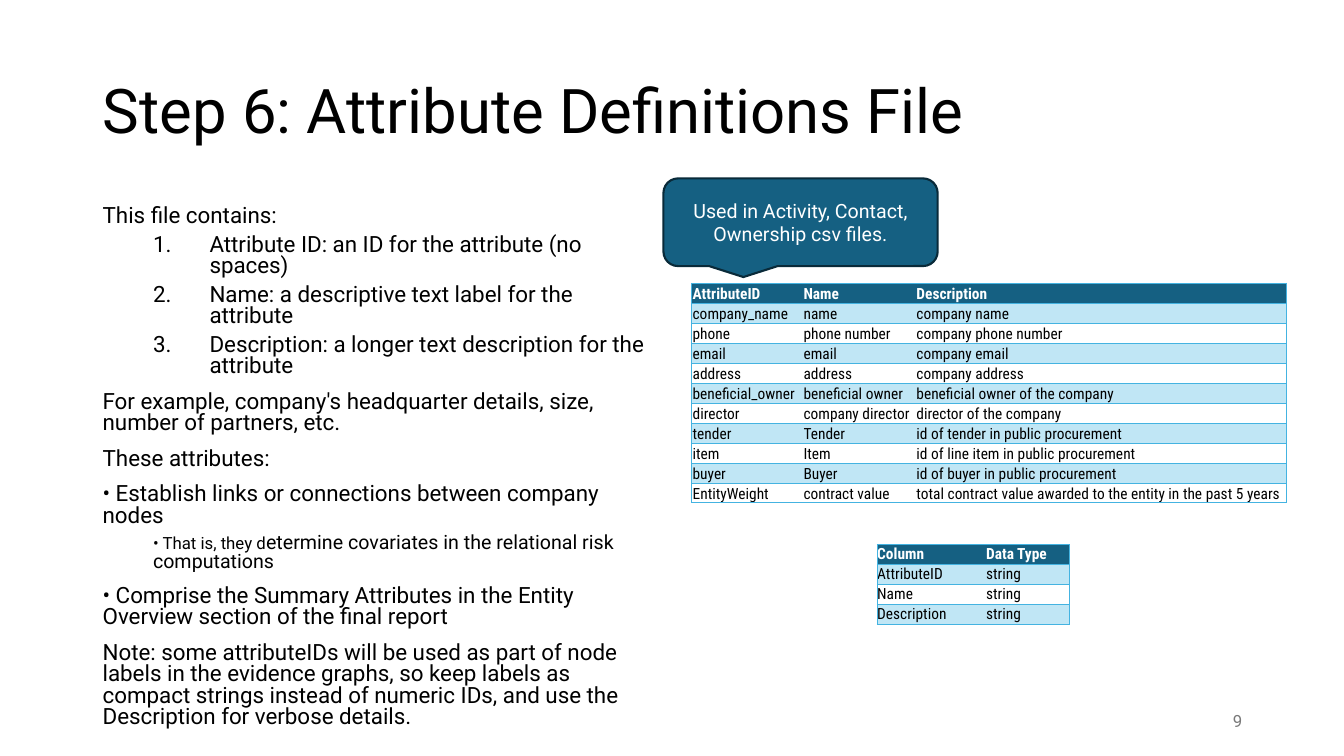
import pptx
import pptx.util
import pptx.dml.color
import pptx.enum.shapes
import pptx.enum.text
import pptx.oxml
import pptx.oxml.ns
from dataclasses import dataclass
from pptx.util import Inches

ALIGN = pptx.enum.text.PP_ALIGN
ANCHOR = pptx.enum.text.MSO_ANCHOR


@dataclass(frozen=True)
class Theme:
    face: str = "Roboto"
    table_face: str = "Roboto Condensed"
    ink: str = "000000"
    paper: str = "FFFFFF"
    accent: str = "156082"
    outline: str = "092A39"
    band: str = "C0E6F5"
    rule: str = "44B3E1"
    muted: str = "797979"
    title_size: int = 44
    body_size: int = 16
    detail_size: int = 14
    small_size: int = 12
    table_size: int = 11


def rgb(value):
    return pptx.dml.color.RGBColor.from_string(value)


def xml(tag, attributes="", content=""):
    return pptx.oxml.parse_xml(
        f'<a:{tag} {pptx.oxml.ns.nsdecls("a")} {attributes}>{content}</a:{tag}>')


class SlideBuilder:
    def __init__(self, deck, theme):
        self.theme = theme
        self.slide = deck.slides.add_slide(deck.slide_layouts[5])

    def font(self, target, size, color, face=None, bold=False):
        target.font.name = face or self.theme.face
        target.font.size = pptx.util.Pt(size)
        target.font.color.rgb = rgb(color)
        target.font.bold = bold

    def title(self, wording, box):
        heading = self.slide.shapes.title
        heading.left, heading.top, heading.width, heading.height = map(Inches, box)
        frame = heading.text_frame
        frame.text = wording
        frame.vertical_anchor = ANCHOR.MIDDLE
        line = frame.paragraphs[0]
        line.alignment = ALIGN.LEFT
        line.line_spacing = 0.9
        self.font(line, self.theme.title_size, self.theme.ink)

    def text_frame(self, box, anchor=ANCHOR.TOP):
        frame = self.slide.shapes.add_textbox(*map(Inches, box)).text_frame
        frame.word_wrap = True
        frame.vertical_anchor = anchor
        return frame

    def body(self, content, box):
        """Write (kind, runs) pairs, where each run is a (wording, size) pair."""
        frame = self.text_frame(box)
        for index, (kind, runs) in enumerate(content):
            line = frame.add_paragraph() if index else frame.paragraphs[0]
            line.line_spacing = 0.8
            line.space_before = pptx.util.Pt(10 if kind == "plain" else 5)
            if kind != "plain":
                line.level = 1
                left, indent = (1.06, -0.56) if kind == "numbered" else (0.5, 0)
                properties = line._p.get_or_add_pPr()
                properties.set("marL", str(Inches(left)))
                properties.set("indent", str(Inches(indent)))
                if kind == "numbered":
                    properties.append(xml("buAutoNum", 'type="arabicPeriod"'))
            self.font(line, runs[0][1], self.theme.ink)
            for wording, size in runs:
                run = line.add_run()
                run.text = wording
                if len(runs) > 1:
                    run.font.size = pptx.util.Pt(size)

    def callout(self, wording, box):
        bubble = self.slide.shapes.add_shape(
            pptx.enum.shapes.MSO_SHAPE.ROUNDED_RECTANGULAR_CALLOUT, *map(Inches, box))
        bubble.shadow.inherit = False
        bubble.fill.solid()
        bubble.fill.fore_color.rgb = rgb(self.theme.accent)
        bubble.line.color.rgb = rgb(self.theme.outline)
        bubble.line.width = pptx.util.Pt(1.5)
        frame = bubble.text_frame
        frame.text = wording
        frame.word_wrap = True
        frame.vertical_anchor = ANCHOR.MIDDLE
        frame.paragraphs[0].alignment = ALIGN.CENTER
        self.font(frame.paragraphs[0], self.theme.detail_size, self.theme.paper)

    def borders(self, cell, first, last):
        """Rule the cell above and below, and at the outer sides of the table."""
        properties = cell._tc.get_or_add_tcPr()
        ruled = {"lnL": first, "lnR": last, "lnT": True, "lnB": True}
        for position, (side, visible) in enumerate(ruled.items()):
            paint = (f'<a:solidFill><a:srgbClr val="{self.theme.rule}"/></a:solidFill>'
                     if visible else "<a:noFill/>")
            properties.insert(position, xml(side, f'w="{pptx.util.Pt(0.5)}"', paint))

    def table(self, rows, box, widths, anchor, inset):
        grid = self.slide.shapes.add_table(
            len(rows), len(widths), *map(Inches, box)).table
        grid.horz_banding = False
        for column, width in zip(grid.columns, widths):
            column.width = Inches(width)
        for r, entries in enumerate(rows):
            fill = self.theme.band if r % 2 else self.theme.paper
            if r == 0:
                fill = self.theme.accent
            for c, wording in enumerate(entries):
                cell = grid.cell(r, c)
                cell.text = wording
                cell.vertical_anchor = anchor
                cell.margin_left = cell.margin_right = cell.margin_top = Inches(inset)
                cell.margin_bottom = 0
                self.borders(cell, c == 0, c == len(widths) - 1)
                cell.fill.solid()
                cell.fill.fore_color.rgb = rgb(fill)
                self.font(cell.text_frame.paragraphs[0], self.theme.table_size,
                          self.theme.ink if r else self.theme.paper,
                          self.theme.table_face, bold=r == 0)

    def page_number(self, number, box):
        line = self.text_frame(box, ANCHOR.MIDDLE).paragraphs[0]
        line.text = number
        line.alignment = ALIGN.RIGHT
        self.font(line, self.theme.small_size, self.theme.muted)


ATTRIBUTES = [
    ("AttributeID", "Name", "Description"),
    ("company_name", "name", "company name"),
    ("phone", "phone number", "company phone number"),
    ("email", "email", "company email"),
    ("address", "address", "company address"),
    ("beneficial_owner", "beneficial owner", "beneficial owner of the company"),
    ("director", "company director", "director of the company"),
    ("tender", "Tender", "id of tender in public procurement"),
    ("item", "Item", "id of line item in public procurement"),
    ("buyer", "Buyer", "id of buyer in public procurement"),
    ("EntityWeight", "contract value",
     "total contract value awarded to the entity in the past 5 years"),
]
DATA_TYPES = [("Column", "Data Type")] + [(name, "string") for name in ATTRIBUTES[0]]


def main():
    deck = pptx.Presentation()
    deck.slide_width, deck.slide_height = Inches(13.33), Inches(7.5)
    theme = Theme()
    page = SlideBuilder(deck, theme)

    def plain(wording, kind="plain"):
        return kind, [(wording, theme.body_size)]

    page.title("Step 6: Attribute Definitions File", (0.92, 0.4, 11.5, 1.45))
    page.body([
        plain("This file contains:"),
        plain("Attribute ID: an ID for the attribute (no spaces)", "numbered"),
        plain("Name: a descriptive text label for the attribute", "numbered"),
        plain("Description: a longer text description for the attribute", "numbered"),
        plain("For example, company's headquarter details, size, number of partners, etc."),
        plain("These attributes:"),
        plain("• Establish links or connections between company nodes"),
        ("detail", [
            ("• That is, they d", theme.small_size),
            ("etermine covariates in the relational risk computations", theme.detail_size)]),
        plain("• Comprise the Summary Attributes in the Entity Overview section "
              "of the final report"),
        plain("Note: some attributeIDs will be used as part of node labels in the "
              "evidence graphs, so keep labels as compact strings instead of numeric "
              "IDs, and use the Description for verbose details."),
    ], (0.92, 2, 5.67, 4.76))
    page.table(ATTRIBUTES, (6.86, 2.81, 5.9, 2.18), (1.1, 1.12, 3.68),
               ANCHOR.BOTTOM, 0.01)
    page.callout("Used in Activity, Contact, Ownership csv files.",
                 (6.58, 1.77, 2.72, 0.87))
    page.table(DATA_TYPES, (8.7, 5.4, 1.92, 0.79), (1.08, 0.83), ANCHOR.MIDDLE, 0)
    page.page_number("9", (9.42, 6.95, 3, 0.4))
    deck.save("out.pptx")


if __name__ == "__main__":
    main()
